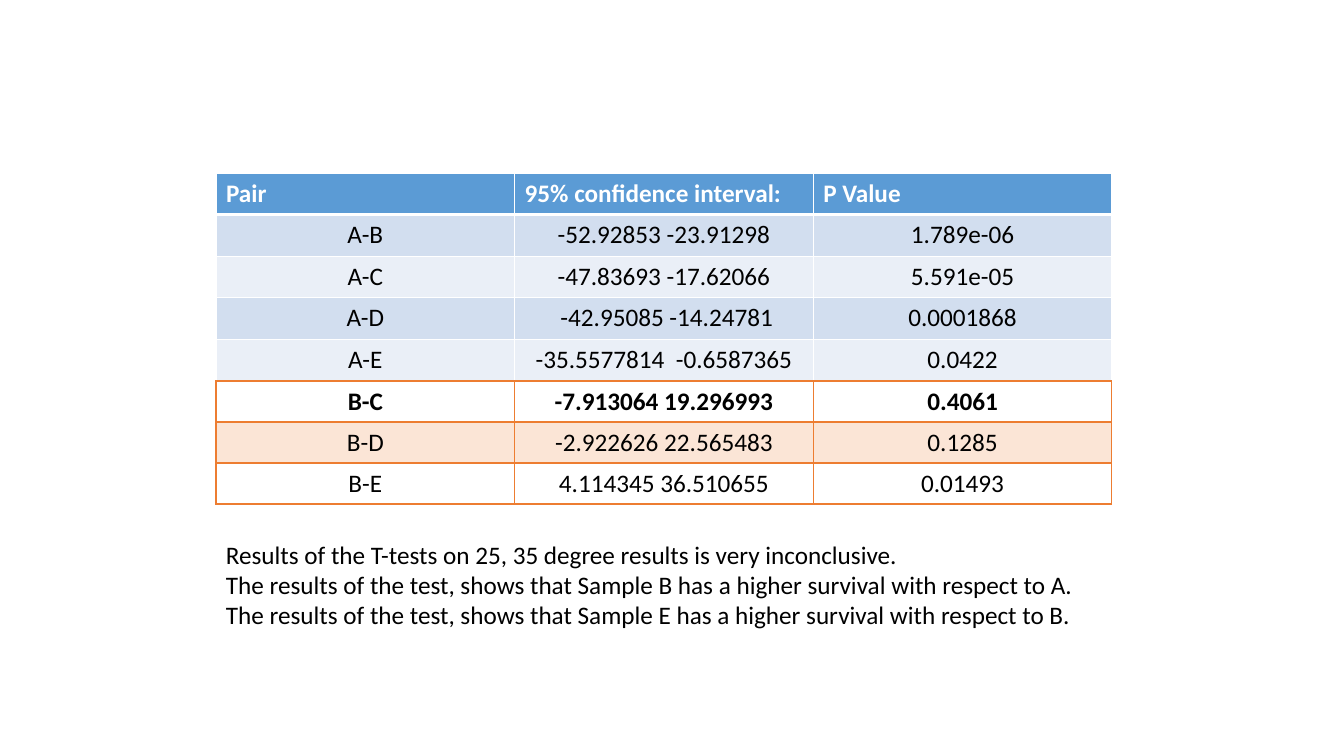
from pptx import Presentation
from pptx import util as u
from pptx.dml.color import RGBColor
from pptx.enum import text
from pptx.oxml import parse_xml
from pptx.oxml.ns import nsdecls

PIXEL = 914400 / 100.8
WHITE = RGBColor(0xFF, 0xFF, 0xFF)
BLACK = RGBColor(0x00, 0x00, 0x00)
BLUE = RGBColor(0x5B, 0x9B, 0xD5)
BLUE_BAND = RGBColor(0xD2, 0xDE, 0xEF)
PALE_BAND = RGBColor(0xEA, 0xEF, 0xF7)
ORANGE = RGBColor(0xED, 0x7D, 0x31)
ORANGE_BAND = RGBColor(0xFB, 0xE5, 0xD6)
LEFT, WIDTH = 216, 896


def px(pixels):
    return u.Emu(round(pixels * PIXEL))


def add_run(paragraph, words, color, bold=False):
    run = paragraph.add_run()
    run.text = words
    run.font.name = "Calibri"
    run.font.size = u.Pt(18)
    run.font.bold = bold
    run.font.color.rgb = color


presentation = Presentation()
presentation.slide_width = px(1344)
presentation.slide_height = px(756)
slide = presentation.slides.add_slide(presentation.slide_layouts[6])

# Tables: top, height, border colour, width of the line under row one, fills, rows
tables = [
    (173, 208, WHITE, 3, [BLUE, BLUE_BAND, PALE_BAND, BLUE_BAND, PALE_BAND], [
        ("Pair", "95% confidence interval:", "P Value"),
        ("A-B", "-52.92853 -23.91298", "1.789e-06"),
        ("A-C", "-47.83693 -17.62066", "5.591e-05"),
        ("A-D", " -42.95085 -14.24781", "0.0001868"),
        ("A-E", "-35.5577814  -0.6587365", "0.0422"),
    ]),
    (381, 123, ORANGE, 2, [None, ORANGE_BAND, None], [
        ("B-C", "-7.913064 19.296993", "0.4061"),
        ("B-D", "-2.922626 22.565483", "0.1285"),
        ("B-E", "4.114345 36.510655", "0.01493"),
    ]),
]
for top, height, border, rule_width, fills, rows in tables:
    table = slide.shapes.add_table(
        len(rows), 3, px(LEFT), px(top), px(WIDTH), px(height)).table
    table.first_row = False
    table.horz_banding = False
    for row_index, (fill, values) in enumerate(zip(fills, rows)):
        table.rows[row_index].height = px(height / len(rows))
        is_header = fill == BLUE
        for column_index, value in enumerate(values):
            cell = table.cell(row_index, column_index)

            # Borders, with the heavier rule below the first row
            properties = cell._tc.get_or_add_tcPr()
            for side in "LRTB":
                heavy = (row_index, side) in ((0, "B"), (1, "T"))
                line_width = u.Pt(rule_width if heavy else 1)
                properties.append(parse_xml(
                    f'<a:ln{side} {nsdecls("a")} w="{line_width}"><a:solidFill>'
                    f'<a:srgbClr val="{border}"/></a:solidFill></a:ln{side}>'))

            # Fill and text
            if fill is None:
                cell.fill.background()
            else:
                cell.fill.solid()
                cell.fill.fore_color.rgb = fill
            paragraph = cell.text_frame.paragraphs[0]
            paragraph.alignment = (
                text.PP_ALIGN.LEFT if is_header else text.PP_ALIGN.CENTER)
            add_run(paragraph, value, WHITE if is_header else BLACK,
                    bold=row_index == 0)

# Conclusions
conclusions = [
    "Results of the T-tests on 25, 35 degree results is very inconclusive.",
    "The results of the test, shows that Sample B has a higher survival with respect to A.",
    "The results of the test, shows that Sample E has a higher survival with respect to B.",
]
frame = slide.shapes.add_textbox(px(LEFT), px(534), px(WIDTH), px(102)).text_frame
frame.word_wrap = True
frame.auto_size = text.MSO_AUTO_SIZE.SHAPE_TO_FIT_TEXT
for index, conclusion in enumerate(conclusions):
    paragraph = frame.add_paragraph() if index else frame.paragraphs[0]
    add_run(paragraph, conclusion, BLACK)

presentation.save("out.pptx")
